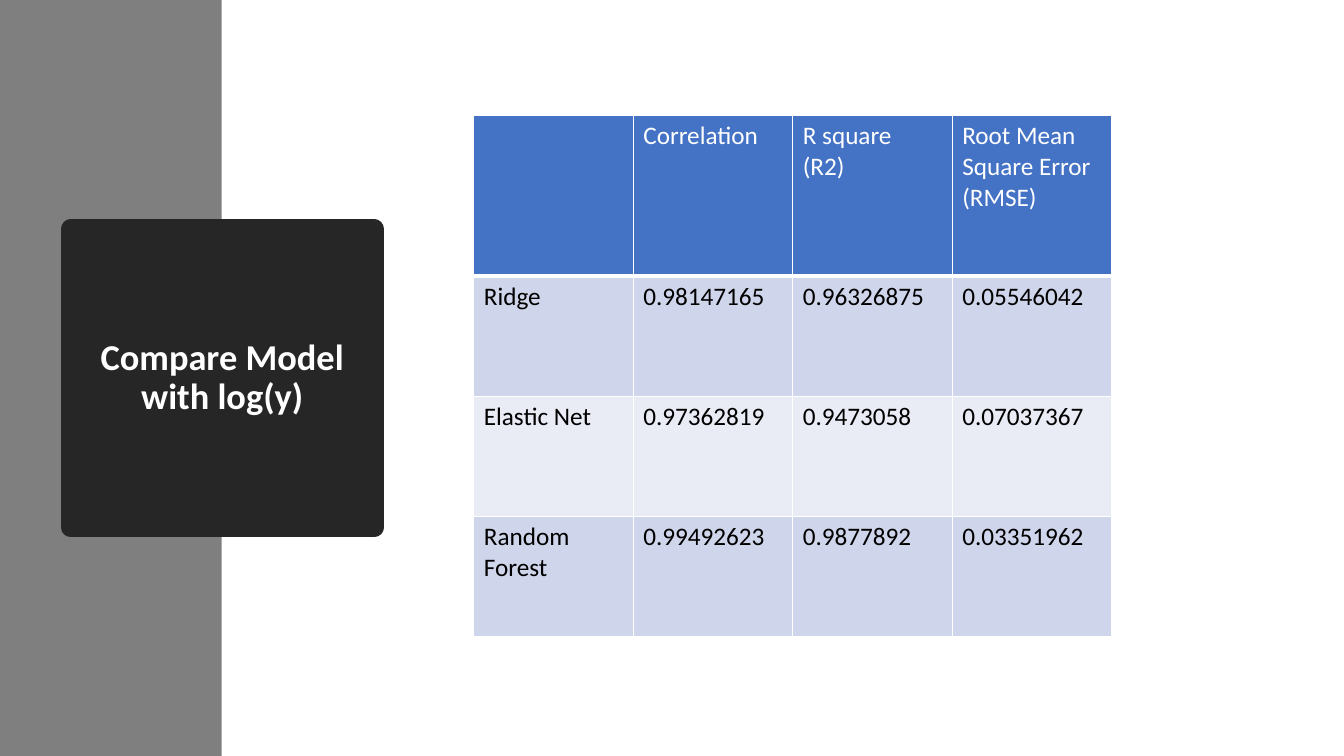
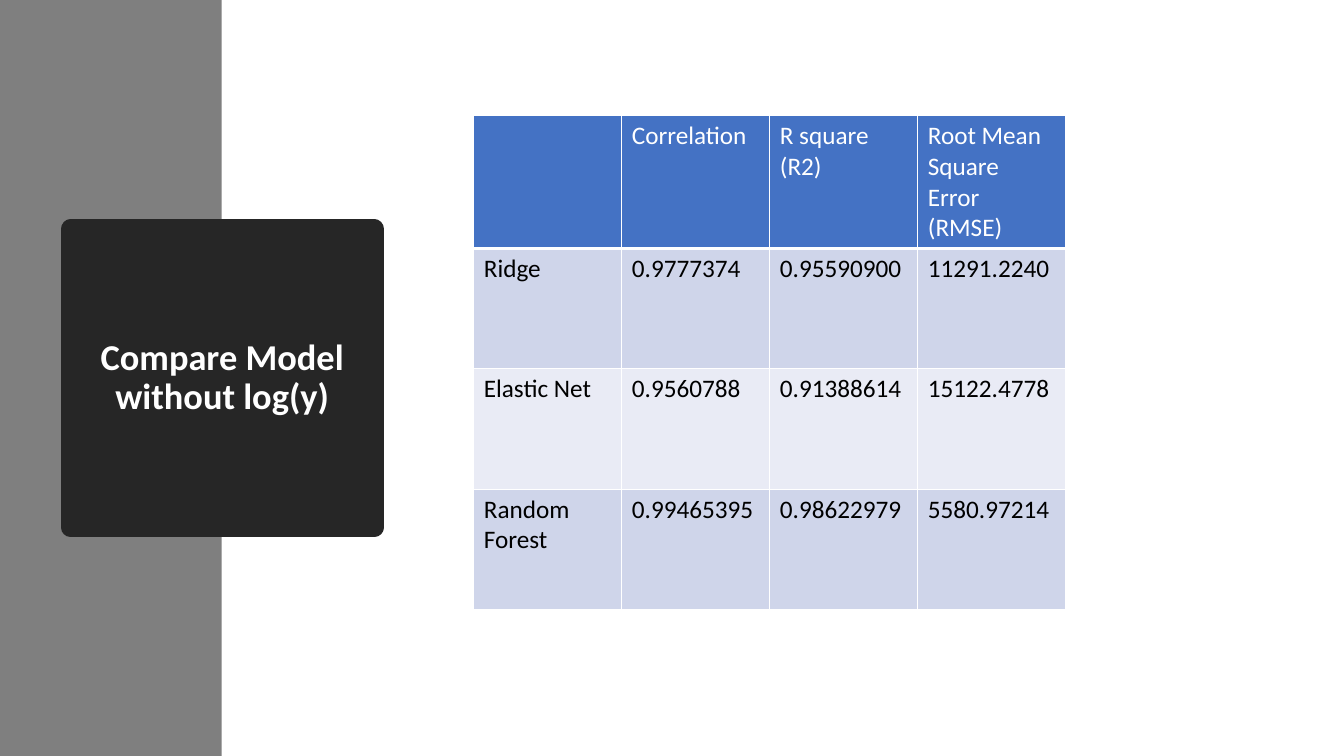
from lxml import etree
from pptx import Presentation
from pptx.dml.color import RGBColor
from pptx.enum.shapes import MSO_SHAPE
from pptx.enum.text import MSO_ANCHOR, MSO_AUTO_SIZE, PP_ALIGN
from pptx.oxml.ns import qn
from pptx.util import Cm, Pt

RECTANGLE = MSO_SHAPE.RECTANGLE
MIDDLE, NO_AUTOFIT = MSO_ANCHOR.MIDDLE, MSO_AUTO_SIZE.NONE
LEFT, CENTER = PP_ALIGN.LEFT, PP_ALIGN.CENTER

FONT = "Calibri"
WHITE = RGBColor(0xFF, 0xFF, 0xFF)
BLACK = RGBColor(0x00, 0x00, 0x00)
BAND_GREY = RGBColor(0x7F, 0x7F, 0x7F)
TITLE_DARK = RGBColor(0x26, 0x26, 0x26)
HEADER_BLUE = RGBColor(0x44, 0x72, 0xC4)
ROW_FILLS = [RGBColor(0xE9, 0xEB, 0xF5), RGBColor(0xCF, 0xD5, 0xEA)]

TITLE_ONLY = 5
ROW_HEIGHT = 3.03
HEADER = ["", "Correlation", "R square\n(R2)", "Root Mean Square Error (RMSE)"]

# Title, column width, header height and model scores of each slide
SLIDES = [
    ("Compare Model with log(y)", 4.02, 4.05, [
        ["Ridge", "0.98147165", "0.96326875", "0.05546042"],
        ["Elastic Net", "0.97362819", "0.9473058", "0.07037367"],
        ["Random Forest", "0.99492623", "0.9877892", "0.03351962"],
    ]),
    ("Compare Model without log(y)", 3.73, ROW_HEIGHT, [
        ["Ridge", "0.9777374", "0.95590900", "11291.2240"],
        ["Elastic Net", "0.9560788", "0.91388614", "15122.4778"],
        ["Random Forest", "0.99465395", "0.98622979", "5580.97214"],
    ]),
]


def write_text(text_frame, text, size=18, color=BLACK, bold=False, align=LEFT, spacing=1.0):
    text_frame.text = text
    for paragraph in text_frame.paragraphs:
        paragraph.alignment = align
        paragraph.line_spacing = spacing
        font = paragraph.font
        if paragraph.runs:
            font = paragraph.runs[0].font
        font.name, font.size, font.bold = FONT, Pt(size), bold
        font.color.rgb = color


def add_borders(cell, bottom_width):
    properties = cell._tc.get_or_add_tcPr()
    for side, width in (("L", 1), ("R", 1), ("T", 1), ("B", bottom_width)):
        line = etree.SubElement(properties, qn(f"a:ln{side}"), w=str(Pt(width)))
        fill = etree.SubElement(line, qn("a:solidFill"))
        etree.SubElement(fill, qn("a:srgbClr"), val=str(WHITE))


presentation = Presentation()
presentation.slide_width, presentation.slide_height = Cm(33.87), Cm(19.05)

for title_text, column_width, header_height, scores in SLIDES:
    slide = presentation.slides.add_slide(presentation.slide_layouts[TITLE_ONLY])
    title = slide.shapes.title

    # Side band, behind the title
    band = slide.shapes.add_shape(RECTANGLE, 0, 0, Cm(5.59), presentation.slide_height)
    band.shadow.inherit = False
    band.fill.solid()
    band.fill.fore_color.rgb = BAND_GREY
    band.line.fill.background()
    title.element.addprevious(band.element)

    # Title box, its corners rounded by the thick outline
    title.left, title.top, title.width, title.height = Cm(1.78), Cm(5.77), Cm(7.65), Cm(7.52)
    title.fill.solid()
    title.fill.fore_color.rgb = TITLE_DARK
    title.line.color.rgb = TITLE_DARK
    title.line.width = Pt(13.75)
    etree.SubElement(title.element.spPr.find(qn("a:ln")), qn("a:round"))
    title.text_frame.auto_size = NO_AUTOFIT
    title.text_frame.word_wrap = True
    title.text_frame.vertical_anchor = MIDDLE
    write_text(title.text_frame, title_text, size=26, color=WHITE, bold=True,
               align=CENTER, spacing=0.9)

    # Score table
    rows = [HEADER] + scores
    heights = [header_height] + [ROW_HEIGHT] * len(scores)
    table = slide.shapes.add_table(
        len(rows), len(HEADER), Cm(11.94), Cm(2.91),
        Cm(column_width * len(HEADER)), Cm(sum(heights))).table
    for column in table.columns:
        column.width = Cm(column_width)
    for row_index, (values, height) in enumerate(zip(rows, heights)):
        table.rows[row_index].height = Cm(height)
        is_header = row_index == 0
        for column_index, value in enumerate(values):
            cell = table.cell(row_index, column_index)
            add_borders(cell, bottom_width=3 if is_header else 1)
            cell.fill.solid()
            cell.fill.fore_color.rgb = HEADER_BLUE if is_header else ROW_FILLS[row_index % 2]
            write_text(cell.text_frame, value, color=WHITE if is_header else BLACK)

presentation.save("out.pptx")
